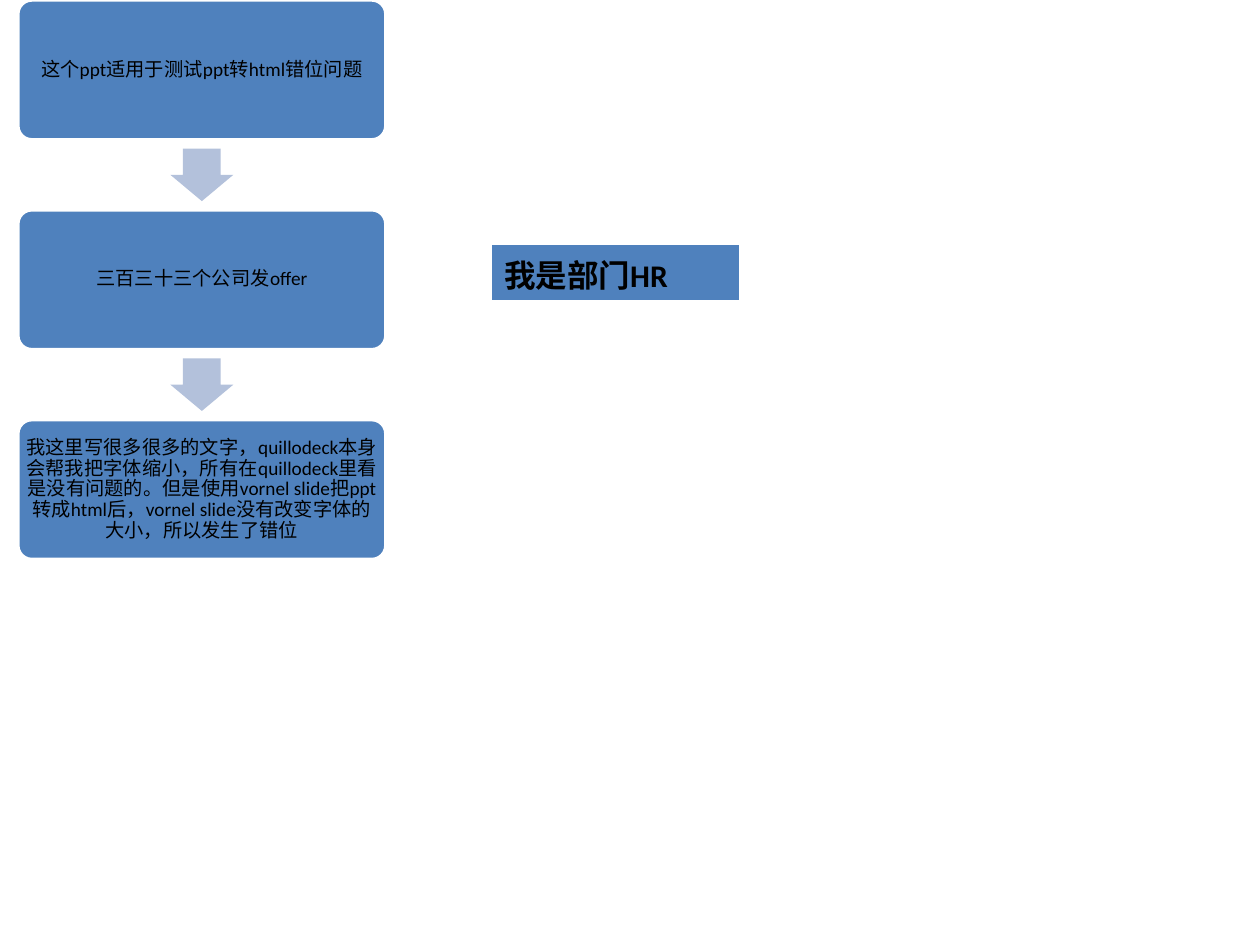
from lxml import etree
from pptx import Presentation
from pptx.dml.color import RGBColor
from pptx.enum.shapes import MSO_SHAPE
from pptx.enum.text import MSO_ANCHOR, PP_ALIGN
from pptx.oxml.ns import qn
from pptx.util import Cm, Pt

ROUNDED = MSO_SHAPE.ROUNDED_RECTANGLE
ARROW = MSO_SHAPE.DOWN_ARROW
MIDDLE = MSO_ANCHOR.MIDDLE
CENTER = PP_ALIGN.CENTER
LEFT = PP_ALIGN.LEFT

COLORS = {"blue": "4F81BD", "pale": "B3C1DB", "white": "FFFFFF", "black": "000000"}
STEPS = [
    "这个ppt适用于测试ppt转html错位问题",
    "三百三十三个公司发offer",
    "我这里写很多很多的文字，quillodeck本身会帮我把字体缩小，所有在quillodeck里看是没有问题的。"
    "但是使用vornel slide把ppt转成html后，vornel slide没有改变字体的大小，所以发生了错位",
]
BOX_LEFT, BOX_WIDTH, BOX_HEIGHT, PITCH = 0.36, 7.42, 2.82, 4.23
ARROW_WIDTH, ARROW_HEIGHT = 1.27, 1.06


def color(name):
    return RGBColor.from_string(COLORS[name])


def write(frame, text, size=11, bold=False, align=LEFT, spacing=1.0):
    para = frame.paragraphs[0]
    para.alignment = align
    para.line_spacing = spacing
    span = para.add_run()
    span.text = text
    span.font.name = "Calibri"
    span.font.size = Pt(size)
    span.font.bold = bold
    span.font.color.rgb = color("black")


deck = Presentation()
deck.slide_width = Cm(25.4)
deck.slide_height = Cm(19.05)
page = deck.slides.add_slide(deck.slide_layouts[6])

for index, text in enumerate(STEPS):
    top = index * PITCH
    if index:
        arrow = page.shapes.add_shape(
            ARROW,
            Cm(BOX_LEFT + (BOX_WIDTH - ARROW_WIDTH) / 2),
            Cm(top - (PITCH - BOX_HEIGHT + ARROW_HEIGHT) / 2),
            Cm(ARROW_WIDTH),
            Cm(ARROW_HEIGHT),
        )
        arrow.adjustments[0] = 0.6
        arrow.adjustments[1] = 0.5
        arrow.shadow.inherit = False
        arrow.fill.solid()
        arrow.fill.fore_color.rgb = color("pale")
        arrow.line.fill.background()

    box = page.shapes.add_shape(ROUNDED, Cm(BOX_LEFT), Cm(top), Cm(BOX_WIDTH), Cm(BOX_HEIGHT))
    box.adjustments[0] = 0.1
    box.shadow.inherit = False
    box.fill.solid()
    box.fill.fore_color.rgb = color("blue")
    box.line.color.rgb = color("white")
    box.line.width = Pt(2)
    frame = box.text_frame
    frame.word_wrap = True
    frame.vertical_anchor = MIDDLE
    frame.margin_left = frame.margin_right = Cm(0.05)
    frame.margin_top = frame.margin_bottom = Cm(0.05)
    write(frame, text, align=CENTER, spacing=0.9)

table = page.shapes.add_table(1, 1, Cm(9.91), Cm(4.93), Cm(5), Cm(1.04)).table
cell = table.cell(0, 0)
write(cell.text_frame, "我是部门HR", size=18, bold=True)
properties = cell._tc.get_or_add_tcPr()
for side, width in {"lnL": 1, "lnR": 1, "lnT": 1, "lnB": 3}.items():
    border = etree.SubElement(properties, qn(f"a:{side}"), w=str(Pt(width)))
    paint = etree.SubElement(border, qn("a:solidFill"))
    etree.SubElement(paint, qn("a:srgbClr"), val=COLORS["white"])
cell.fill.solid()
cell.fill.fore_color.rgb = color("blue")

deck.save("out.pptx")
